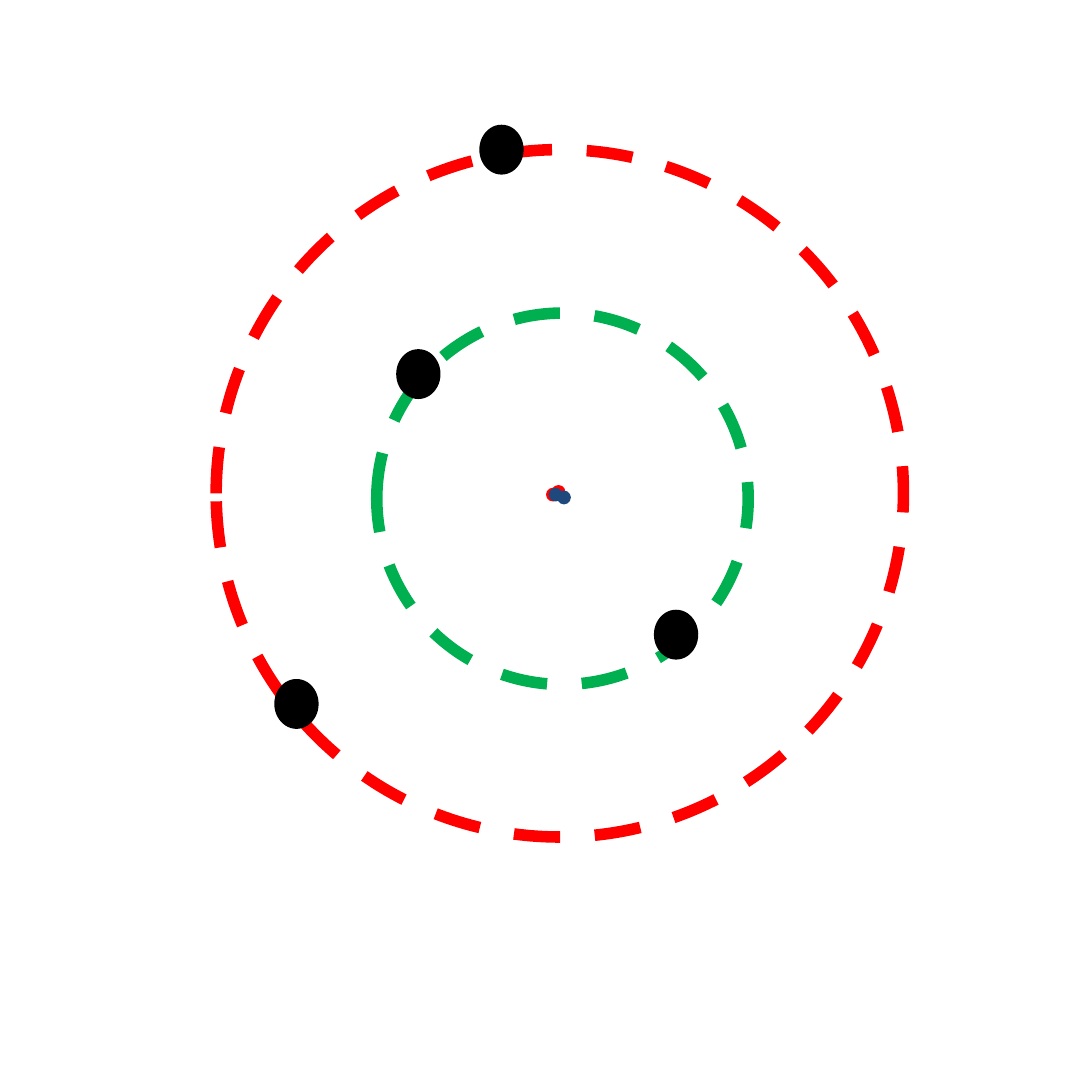
from pptx import Presentation
from pptx.dml.color import RGBColor
from pptx.enum.dml import MSO_LINE
from pptx.enum.shapes import MSO_SHAPE
from pptx.util import Inches, Pt

OVAL = MSO_SHAPE.OVAL
DASH = MSO_LINE.DASH

SLIDE_SIDE = 3.94
RED, BLUE, GREEN, BLACK = "FF0000", "1F497D", "00B050", "000000"
NUCLEONS = [(1.97, 1.76, RED), (1.99, 1.75, RED), (2.01, 1.77, BLUE), (1.98, 1.76, BLUE)]
SHELLS = [
    (1.36, 1.13, 1.34, GREEN, [(1.43, 1.26), (2.36, 2.2)]),
    (0.78, 0.54, 2.48, RED, [(1.73, 0.45), (0.99, 2.45)]),
]


def rgb(value):
    return RGBColor.from_string(value)


class AtomDiagram:
    nucleon_size = 0.05
    electron_size = (0.16, 0.18)
    orbit_format = {"width": Pt(3), "dash_style": DASH}

    def __init__(self, slide):
        self.slide = slide

    def ellipse(self, left, top, width, height):
        ellipse = self.slide.shapes.add_shape(
            OVAL, Inches(left), Inches(top), Inches(width), Inches(height)
        )
        ellipse.shadow.inherit = False
        return ellipse

    def particle(self, left, top, width, height, color):
        particle = self.ellipse(left, top, width, height)
        particle.fill.solid()
        particle.fill.fore_color.rgb = rgb(color)
        particle.line.fill.background()

    def nucleon(self, left, top, color):
        self.particle(left, top, self.nucleon_size, self.nucleon_size, color)

    def electron(self, left, top):
        self.particle(left, top, *self.electron_size, BLACK)

    def orbit(self, left, top, diameter, color):
        orbit = self.ellipse(left, top, diameter, diameter)
        orbit.fill.background()
        orbit.line.color.rgb = rgb(color)
        for name, value in self.orbit_format.items():
            setattr(orbit.line, name, value)


def main():
    presentation = Presentation()
    presentation.slide_width = presentation.slide_height = Inches(SLIDE_SIDE)
    atom = AtomDiagram(presentation.slides.add_slide(presentation.slide_layouts[6]))
    for nucleon in NUCLEONS:
        atom.nucleon(*nucleon)
    for left, top, diameter, color, electrons in SHELLS:
        atom.orbit(left, top, diameter, color)
        for electron in electrons:
            atom.electron(*electron)
    presentation.save("out.pptx")


if __name__ == "__main__":
    main()
